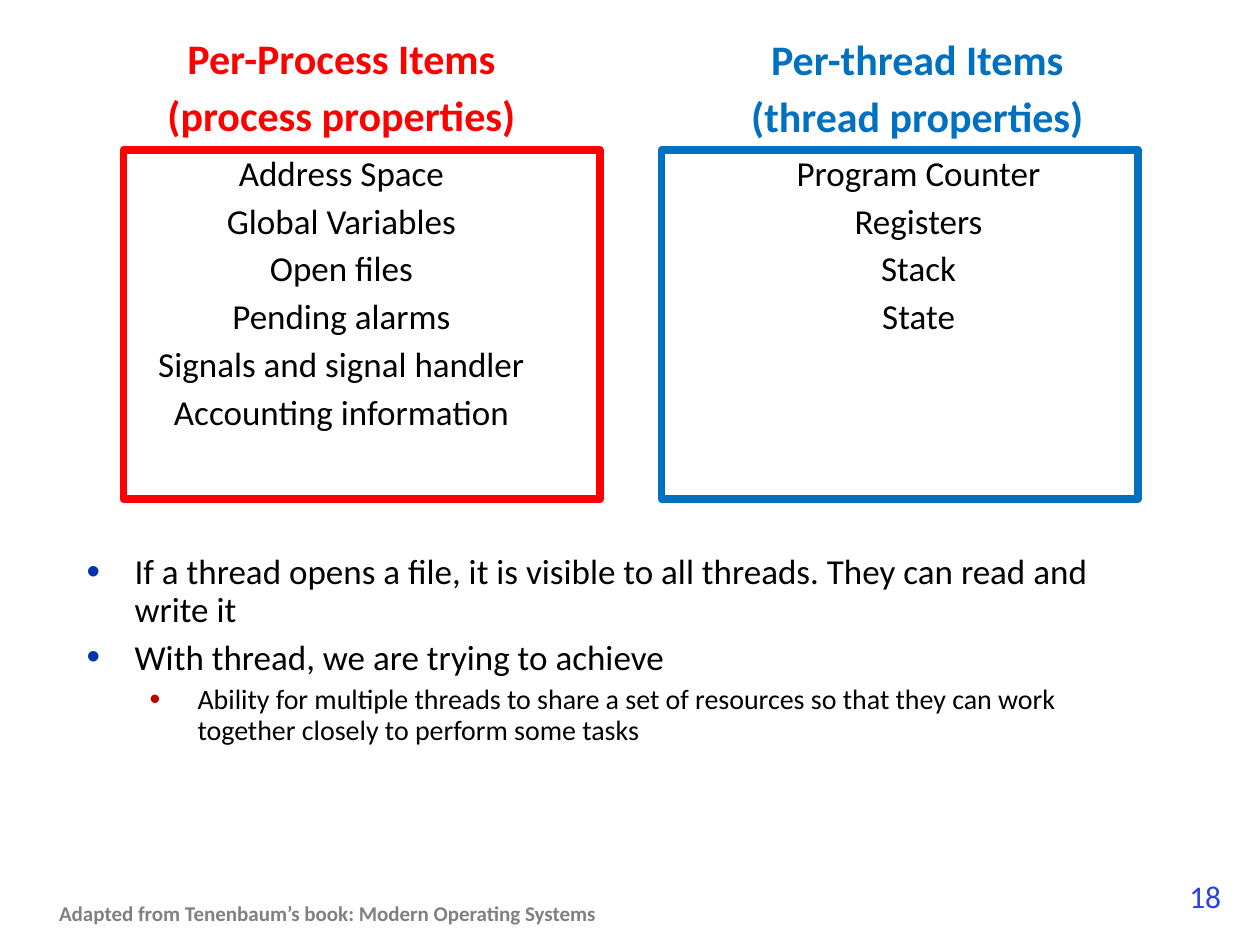
"""Build a slide comparing per-process and per-thread items."""
from lxml import etree
from pptx import Presentation
from pptx.dml.color import RGBColor
from pptx.enum.shapes import MSO_SHAPE
from pptx.enum.text import MSO_ANCHOR, PP_ALIGN
from pptx.oxml.ns import qn
from pptx.util import Inches, Pt

RECTANGLE = MSO_SHAPE.RECTANGLE
TOP, MIDDLE = MSO_ANCHOR.TOP, MSO_ANCHOR.MIDDLE
LEFT, CENTER = PP_ALIGN.LEFT, PP_ALIGN.CENTER
COLORS = {
    "process": "FF0000", "thread": "0070C0", "white": "FFFFFF", "text": "000000",
    "bullet": "0234AD", "sub_bullet": "C00000", "number": "2A40E2", "source": "808080",
}


def color(name):
    """Return the named colour."""
    return RGBColor.from_string(COLORS[name])


def add_text(place, lines, size, color_name, bold=False, align=LEFT, anchor=TOP,
             wrap=True, line_spacing=None):
    """Add a text box with one paragraph per line."""
    frame = page.shapes.add_textbox(*map(Inches, place)).text_frame
    frame.word_wrap = wrap
    frame.vertical_anchor = anchor
    for index, line in enumerate(lines):
        para = frame.paragraphs[0] if index == 0 else frame.add_paragraph()
        para.alignment = align
        para.line_spacing = line_spacing
        para.space_before = Pt(round(size * 0.285, 1) if index else 0)
        span = para.add_run()
        span.text = line
        formats = {"name": "Calibri", "size": Pt(size), "bold": bold}
        for key, value in formats.items():
            setattr(span.font, key, value)
        span.font.color.rgb = color(color_name)
    return frame


deck = Presentation()
deck.slide_width, deck.slide_height = Inches(10), Inches(7.5)
page = deck.slides.add_slide(deck.slide_layouts[6])

columns = [
    ("process", 0.98, (0.5, 0.36), (0.5, 3.16),
     ["Per-Process Items", "(process properties)"],
     ["Address Space", "Global Variables", "Open files", "Pending alarms",
      "Signals and signal handler", "Accounting information"]),
    ("thread", 5.25, (5.07, 0.37), (5.08, 2.77),
     ["Per-thread Items", "(thread properties)"],
     ["Program Counter", "Registers", "Stack", "State"]),
]
for name, frame_left, heading_at, (list_left, list_height), heading, items in columns:
    panel = page.shapes.add_shape(
        RECTANGLE, Inches(frame_left), Inches(1.19), Inches(3.78), Inches(2.77))
    panel.shadow.inherit = False
    panel.fill.solid()
    panel.fill.fore_color.rgb = color("white")
    panel.line.color.rgb = color(name)
    panel.line.width = Pt(4.5)
    add_text((*heading_at, 4.42, 0.7), heading, 24, name, bold=True,
             align=CENTER, anchor=MIDDLE, line_spacing=0.9)
    add_text((list_left, 1.19, 4.42, list_height), items, 20, "text",
             align=CENTER, line_spacing=0.9)

notes = [
    ("If a thread opens a file, it is visible to all threads. "
     "They can read and write it", 0, 0.38, "bullet", 20),
    ("With thread, we are trying to achieve", 0, 0.38, "bullet", 20),
    ("Ability for multiple threads to share a set of resources so that they can "
     "work together closely to perform some tasks", 1, 0.88, "sub_bullet", 16),
]
notes_frame = add_text((0.59, 4.35, 8.67, 2.86), [note[0] for note in notes], 20,
                       "text", line_spacing=0.9)
for para, (_, level, indent, bullet_color, size) in zip(notes_frame.paragraphs, notes):
    para.level = level
    para.runs[0].font.size = Pt(size)
    if level:
        para.space_before = Pt(4.6)
    properties = para._p.get_or_add_pPr()
    properties.set("marL", str(Inches(indent)))
    properties.set("indent", str(Inches(-0.38)))
    tint = etree.SubElement(properties, qn("a:buClr"))
    etree.SubElement(tint, qn("a:srgbClr"), val=COLORS[bullet_color])
    etree.SubElement(properties, qn("a:buSzPct"), val="110000")
    etree.SubElement(properties, qn("a:buFont"), typeface="Arial")
    etree.SubElement(properties, qn("a:buChar"), char="•")

add_text((9.34, 6.91, 0.51, 0.4), ["18"], 18, "number", wrap=False)
add_text((0.37, 7.1, 4.52, 0.3),
         ["Adapted from Tenenbaum’s book: Modern Operating Systems"],
         12, "source", bold=True, wrap=False)

deck.save("out.pptx")
